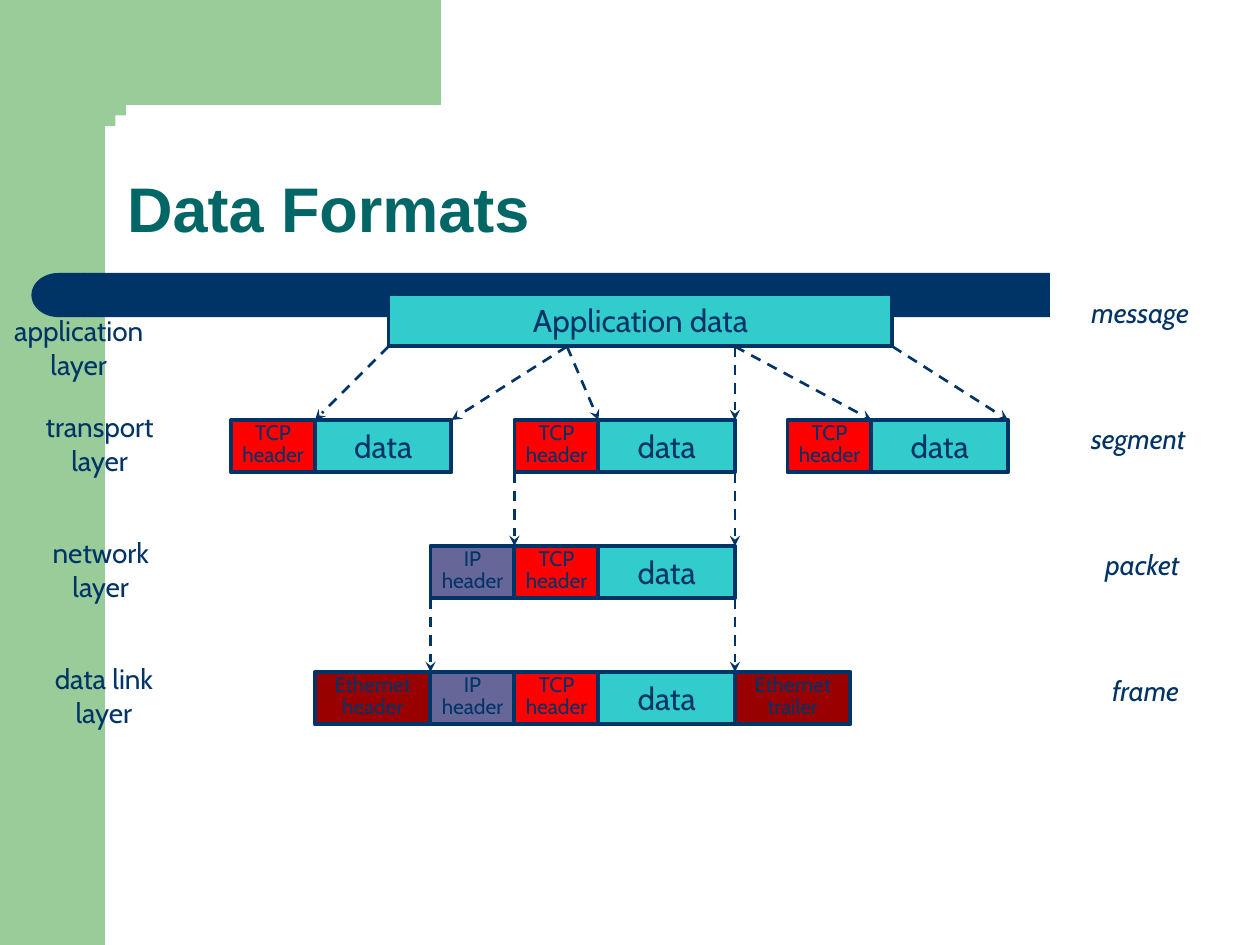
import math

from lxml import etree
from pptx import Presentation
from pptx import util as u
from pptx.dml.color import RGBColor
from pptx.enum import dml, shapes, text
from pptx.oxml.ns import qn

NAVY = RGBColor(0x00, 0x33, 0x66)
GREEN = RGBColor(0x99, 0xCC, 0x99)
TEAL = RGBColor(0x00, 0x66, 0x66)
AQUA = RGBColor(0x33, 0xCC, 0xCC)
RED = RGBColor(0xFF, 0x00, 0x00)
VIOLET = RGBColor(0x66, 0x66, 0x99)
MAROON = RGBColor(0x99, 0x00, 0x00)

CELL = u.Inches(1) // 12  # the slide is a grid of 120 columns by 90 rows
BOX_ROWS = 5
FIRST_ROW, ROW_STEP = 28, 12

# Each kind of field: text, columns wide, fill
FIELDS = {
    "app": ("Application data", 48, AQUA),
    "data": ("data", 13, AQUA),
    "tcp": ("TCP\nheader", 8, RED),
    "ip": ("IP\nheader", 8, VIOLET),
    "eth": ("Ethernet\nheader", 11, MAROON),
    "end": ("Ethernet\ntrailer", 11, MAROON),
}
# Layer number, first column, fields from left to right
UNITS = [
    (0, 37, ["app"]),
    (1, 22, ["tcp", "data"]),
    (1, 49, ["tcp", "data"]),
    (1, 75, ["tcp", "data"]),
    (2, 41, ["ip", "tcp", "data"]),
    (3, 30, ["eth", "ip", "tcp", "data", "end"]),
]
# Upper layer number, start column, end column
SPLITS = [
    (0, 37, 30), (0, 54, 43), (0, 54, 57), (0, 70, 70), (0, 70, 83), (0, 85, 96),
    (1, 49, 49), (1, 70, 70), (2, 70, 70), (2, 41, 41),
]
# Text, middle column, columns wide, top row
LAYERS = [
    ("application\nlayer", 7.5, 16.2, 29.9),
    ("transport\nlayer", 9.5, 14.2, 39),
    ("network\nlayer", 9.6, 12.7, 51),
    ("data link\nlayer", 9.9, 13.1, 63),
]
# Text, middle column, columns wide
UNIT_NAMES = [
    ("message", 108.6, 12.7),
    ("segment", 108.4, 12.5),
    ("packet", 108.8, 10.2),
    ("frame", 109.1, 9.5),
]


def grid(*cells):
    return [u.Emu(round(c * CELL)) for c in cells]


def layer_row(layer):
    return FIRST_ROW + ROW_STEP * layer


class Sketch:
    """Holds the text styles and the slide being drawn."""

    title_font = {"name": "Arial", "size": u.Pt(36), "bold": True}
    data_style = {"size": 18, "spacing": 1.0, "gap": 4.5}
    header_style = {"size": 12, "spacing": 0.7, "gap": 3}
    label_style = {"size": 16, "spacing": 0.8, "gap": 4}

    def __init__(self, slide):
        self.slide = slide
        self.shapes = slide.shapes

    def centre_lines(self, frame, words, style, italic=None):
        """Centre one paragraph per line of words, without wrapping."""
        frame.word_wrap = False
        font = {"name": "Cabin", "size": u.Pt(style["size"]), "italic": italic}
        for i, line in enumerate(words.split("\n")):
            par = frame.paragraphs[0] if i == 0 else frame.add_paragraph()
            par.text = line
            par.alignment = text.PP_ALIGN.CENTER
            par.line_spacing = style["spacing"]
            if i:
                par.space_before = u.Pt(style["gap"])
            self.set_font(par.font, font, NAVY)

    @staticmethod
    def set_font(font, values, colour):
        for key, value in values.items():
            setattr(font, key, value)
        font.color.rgb = colour

    @staticmethod
    def paint(shape, fill):
        shape.shadow.inherit = False
        shape.fill.solid()
        shape.fill.fore_color.rgb = fill
        shape.line.fill.background()

    def title(self, words):
        title = self.shapes.title
        title.left, title.top, title.width, title.height = grid(10.9, 10.9, 102.1, 13.1)
        frame = title.text_frame
        frame.text = words
        frame.auto_size = text.MSO_AUTO_SIZE.NONE
        frame.vertical_anchor = text.MSO_ANCHOR.BOTTOM
        par = frame.paragraphs[0]
        par.alignment = text.PP_ALIGN.LEFT
        par.line_spacing = 0.9
        self.set_font(par.font, self.title_font, TEAL)

    def block(self, kind, col, row, cols, rows, fill):
        block = self.shapes.add_shape(kind, *grid(col, row, cols, rows))
        self.paint(block, fill)
        return block

    def outline(self, points, fill):
        builder = self.shapes.build_freeform(*points[0], scale=CELL)
        builder.add_line_segments(points[1:], close=True)
        self.paint(builder.convert_to_shape(), fill)

    def field(self, name, col, row):
        """Draw one field and return the column where the next begins."""
        words, cols, fill = FIELDS[name]
        box = self.block(shapes.MSO_SHAPE.RECTANGLE, col, row, cols, BOX_ROWS, fill)
        box.line.color.rgb = NAVY
        box.line.width = u.Pt(2.25)
        box.text_frame.vertical_anchor = text.MSO_ANCHOR.MIDDLE
        style = self.header_style if "\n" in words else self.data_style
        self.centre_lines(box.text_frame, words, style)
        return col + cols

    def label(self, words, middle, cols, row, italic=None):
        rows = 7.1 if "\n" in words else 3.8
        label = self.shapes.add_textbox(*grid(middle - cols / 2, row, cols, rows))
        self.centre_lines(label.text_frame, words, self.label_style, italic)
        label.text_frame.auto_size = text.MSO_AUTO_SIZE.SHAPE_TO_FIT_TEXT

    def arrow(self, col, row, end_col, end_row):
        arrow = self.shapes.add_connector(
            shapes.MSO_CONNECTOR.STRAIGHT, *grid(col, row, end_col, end_row))
        arrow.line.color.rgb = NAVY
        arrow.line.width = u.Pt(1.5)
        arrow.line.dash_style = dml.MSO_LINE.DASH
        props = arrow._element.spPr
        etree.SubElement(props.find(qn("a:ln")), qn("a:tailEnd"), type="stealth")
        etree.SubElement(props, qn("a:effectLst"))


def draw_backdrop(sketch):
    preset = shapes.MSO_SHAPE
    sketch.block(preset.RECTANGLE, 0, 0, 10, 90, GREEN)
    turns = [math.radians(90 * i / 16) for i in range(17)]
    corner = [(14 - 4 * math.sin(t), 14 - 4 * math.cos(t)) for t in turns]
    sketch.outline([(42, 0), (42, 10), *corner, (10, 15.4), (6, 15.4), (6, 0)], GREEN)
    sketch.block(preset.RECTANGLE, 8, 26, 92, 4.2, NAVY)
    cap = sketch.block(preset.FLOWCHART_DELAY, 3, 26, 5.1, 4.2, NAVY)
    cap._element.spPr.get_or_add_xfrm().set("flipH", "1")


def main():
    deck = Presentation()
    deck.slide_width, deck.slide_height = grid(120, 90)
    sketch = Sketch(deck.slides.add_slide(deck.slide_layouts[5]))
    draw_backdrop(sketch)
    sketch.title("Data Formats")
    for layer, col, names in UNITS:
        for name in names:
            col = sketch.field(name, col, layer_row(layer))
    for layer in LAYERS:
        sketch.label(*layer)
    for layer, (words, middle, cols) in enumerate(UNIT_NAMES):
        sketch.label(words, middle, cols, layer_row(layer) + 0.2, italic=True)
    for layer, col, end_col in SPLITS:
        sketch.arrow(col, layer_row(layer) + BOX_ROWS, end_col, layer_row(layer + 1))
    deck.save("out.pptx")


if __name__ == "__main__":
    main()
